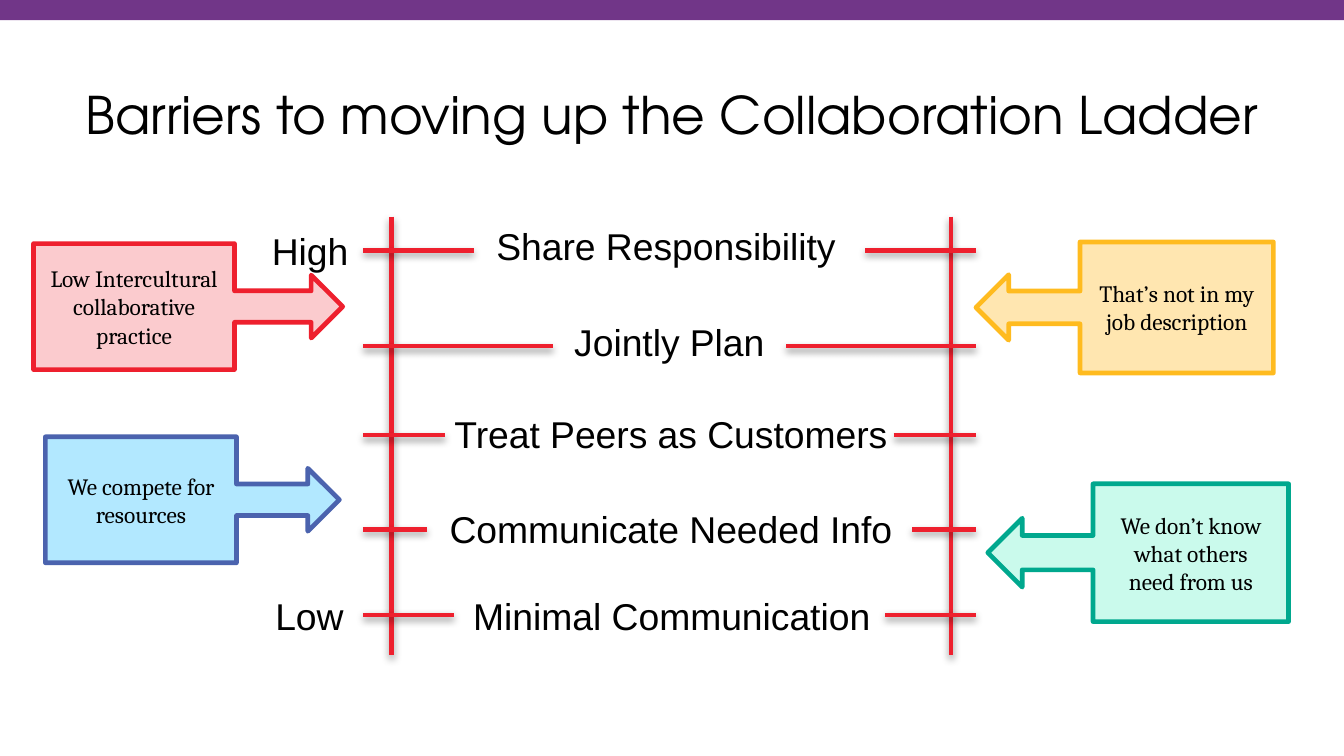
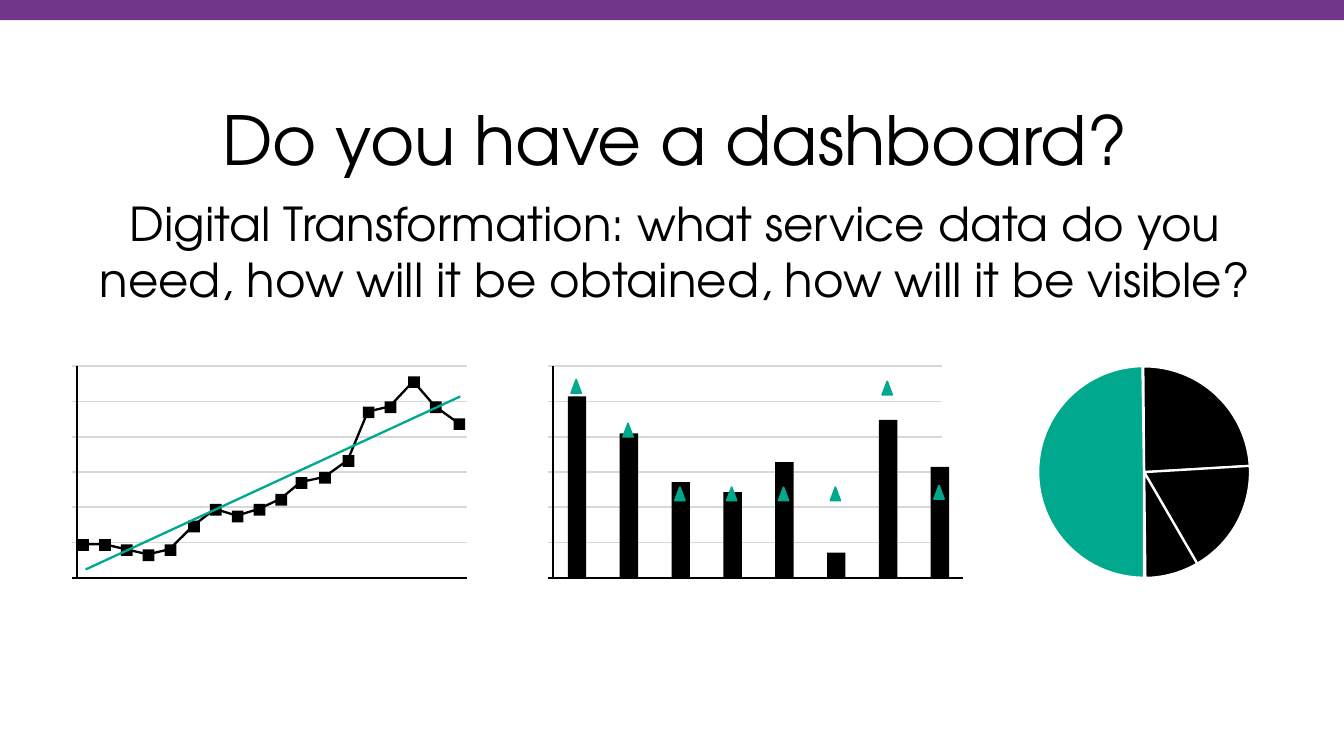
"""Build two slides: a collaboration ladder and a dashboard overview."""
from dataclasses import dataclass

from lxml import etree
from pptx import Presentation
from pptx.dml.color import RGBColor
from pptx.enum.shapes import MSO_CONNECTOR, MSO_SHAPE
from pptx.enum.text import MSO_ANCHOR, MSO_AUTO_SIZE, PP_ALIGN
from pptx.oxml.ns import qn
from pptx.util import Inches, Pt

STRAIGHT = MSO_CONNECTOR.STRAIGHT
RECTANGLE, TRIANGLE, PIE = MSO_SHAPE.RECTANGLE, MSO_SHAPE.ISOSCELES_TRIANGLE, MSO_SHAPE.PIE
LEFT_CALLOUT, RIGHT_CALLOUT = MSO_SHAPE.LEFT_ARROW_CALLOUT, MSO_SHAPE.RIGHT_ARROW_CALLOUT
TOP, MIDDLE = MSO_ANCHOR.TOP, MSO_ANCHOR.MIDDLE
LEFT, CENTER = PP_ALIGN.LEFT, PP_ALIGN.CENTER
NO_FIT = MSO_AUTO_SIZE.NONE


@dataclass(frozen=True)
class Theme:
    """Colours, fonts and sizes shared by the slides."""

    ink: str = "000000"
    white: str = "FFFFFF"
    band: str = "713688"
    red: str = "EE202E"
    pink: str = "F8A4A9"
    amber: str = "FFBB1F"
    sand: str = "FFD579"
    indigo: str = "4B63AE"
    sky: str = "76D6FF"
    green: str = "00A88E"
    mint: str = "CAFAEC"
    grid: str = "D8D8D8"
    heading_font: str = "TeX Gyre Adventor"
    label_font: str = "Arial"
    callout_font: str = "Cambria"
    ladder_title: float = 22.2
    dashboard_title: float = 29
    subtitle: float = 20
    label: float = 16
    callout: float = 10
    heavy: float = 2
    medium: float = 1
    thin: float = 0.75


THEME = Theme()
HEADING_MARGINS = (0.08, 0.04)
WIDE_MARGINS = (0.1, 0.05)

RUNGS = [
    ("Share Responsibility", 1.49, 2.82, 5.15, (2.86, 1.29, 2.21, 0.35)),
    ("Jointly Plan", 2.06, 3.29, 4.68, (3.33, 1.86, 1.31, 0.35)),
    ("Treat Peers as Customers", 2.59, 2.65, 5.32, (2.61, 2.41, 2.77, 0.35)),
    ("Communicate Needed Info", 3.15, 2.54, 5.43, (2.58, 2.97, 2.83, 0.35)),
    ("Minimal Communication", 3.66, 2.7, 5.27, (2.72, 3.49, 2.56, 0.35)),
]
LEVELS = [("High", (1.52, 1.31, 0.66, 0.37)), ("Low", (1.54, 3.48, 0.61, 0.37))]
BARRIERS = [
    ("We don’t know what others need from us", LEFT_CALLOUT,
     (5.88, 2.88, 1.79, 0.82), THEME.mint, THEME.green, 100),
    ("That’s not in my job description", LEFT_CALLOUT,
     (5.81, 1.44, 1.77, 0.78), THEME.sand, THEME.amber, 59),
    ("We compete for resources", RIGHT_CALLOUT,
     (0.27, 2.6, 1.75, 0.75), THEME.sky, THEME.indigo, 56),
    ("Low Intercultural collaborative practice", RIGHT_CALLOUT,
     (0.2, 1.45, 1.84, 0.75), THEME.pink, THEME.red, 56),
]
GRID_TOP, GRID_STEP, GRID_COUNT, BASELINE = 2.18, 0.21, 6, 3.44
TREND_POINTS = [
    (0.49, 3.24), (0.62, 3.24), (0.75, 3.27), (0.88, 3.3), (1.01, 3.27), (1.15, 3.13),
    (1.28, 3.03), (1.41, 3.07), (1.54, 3.03), (1.67, 2.97), (1.79, 2.87), (1.93, 2.84),
    (2.07, 2.74), (2.19, 2.45), (2.32, 2.42), (2.46, 2.27), (2.59, 2.42), (2.73, 2.52),
]
BARS = [(2.36, 2.26), (2.58, 2.52), (2.87, 2.9), (2.93, 2.9),
        (2.75, 2.9), (3.29, 2.9), (2.5, 2.27), (2.78, 2.89)]
SLICES = [(89.52, 176.62, 180, THEME.ink), (176.57, 239.95, 180, THEME.ink),
          (239.88, 269.31, 180, THEME.ink), (89.92, 269.18, 0, THEME.green)]


def inches(values):
    """Convert a sequence of numbers to lengths."""
    return [Inches(value) for value in values]


def apply_format(target, values):
    """Set each named attribute on the target."""
    for name, value in values.items():
        setattr(target, name, value)


def set_line(line, color, width):
    """Give an outline its colour and width."""
    line.color.rgb = RGBColor.from_string(color)
    line.width = Pt(width)


def write(shape, wording, font, size, align=CENTER, anchor=MIDDLE,
          margins=HEADING_MARGINS, wrap=True):
    """Put one formatted paragraph into a shape."""
    side, edge = inches(margins)
    frame = shape.text_frame
    apply_format(frame, {
        "auto_size": NO_FIT, "word_wrap": wrap, "vertical_anchor": anchor,
        "margin_left": side, "margin_right": side,
        "margin_top": edge, "margin_bottom": edge,
    })
    paragraph = frame.paragraphs[0]
    paragraph.alignment = align
    run = paragraph.add_run()
    run.text = wording
    apply_format(run.font, {"name": font, "size": Pt(size)})
    run.font.color.rgb = RGBColor.from_string(THEME.ink)


def add_text(slide, box, *args, **options):
    """Add a text box holding one paragraph."""
    write(slide.shapes.add_textbox(*inches(box)), *args, **options)


def add_block(slide, kind, box, fill, outline=None, width=THEME.medium, opacity=100):
    """Add a preset shape with a flat fill."""
    block = slide.shapes.add_shape(kind, *inches(box))
    block.shadow.inherit = False
    block.fill.solid()
    block.fill.fore_color.rgb = RGBColor.from_string(fill)
    if opacity < 100:
        color = block._element.spPr.find(qn("a:solidFill"))[0]
        etree.SubElement(color, qn("a:alpha"), val=str(opacity * 1000))
    if outline:
        set_line(block.line, outline, width)
    else:
        block.line.fill.background()
    return block


def add_line(slide, start, end, color, width, shadow=False):
    """Add a straight line, with a soft shadow on request."""
    line = slide.shapes.add_connector(STRAIGHT, *inches(start + end))
    set_line(line.line, color, width)
    effects = etree.SubElement(line._element.spPr, qn("a:effectLst"))
    if shadow:
        outer = etree.SubElement(effects, qn("a:outerShdw"), blurRad="40000",
                                 dist="20000", dir="5400000", rotWithShape="0")
        color_node = etree.SubElement(outer, qn("a:srgbClr"), val=THEME.ink)
        etree.SubElement(color_node, qn("a:alpha"), val="38000")


def add_titled_slide(deck, wording, box, size):
    """Add a slide with its title and the top band."""
    slide = deck.slides.add_slide(deck.slide_layouts[5])
    title = slide.shapes.title
    apply_format(title, dict(zip(("left", "top", "width", "height"), inches(box))))
    write(title, wording, THEME.heading_font, size)
    add_block(slide, RECTANGLE, (0, 0, 8, 0.12), THEME.band)
    return slide


def add_ladder(slide):
    """Draw the rails, the split rungs and their labels."""
    segments = [((x, 1.29), (x, 3.9)) for x in (2.33, 5.66)]
    for _, y, left_end, right_start, _ in RUNGS:
        segments += [((2.16, y), (left_end, y)), ((right_start, y), (5.81, y))]
    for start, end in segments:
        add_line(slide, start, end, THEME.red, THEME.heavy, shadow=True)
    for wording, *_, box in RUNGS:
        add_text(slide, box, wording, THEME.label_font, THEME.label,
                 anchor=TOP, wrap=False)
    for wording, box in LEVELS:
        add_text(slide, box, wording, THEME.label_font, THEME.label, align=LEFT,
                 anchor=TOP, margins=WIDE_MARGINS, wrap=False)


def add_barrier(slide, wording, kind, box, fill, outline, opacity):
    """Add an arrow callout that names a barrier."""
    callout = add_block(slide, kind, box, fill, outline, THEME.heavy, opacity)
    for index, value in enumerate((0.25, 0.25, 0.25, 0.65)):
        callout.adjustments[index] = value
    write(callout, wording, THEME.callout_font, THEME.callout, margins=WIDE_MARGINS)


def add_axes(slide, left, grid_right, axis_right):
    """Draw the grid lines and both axes of a small plot."""
    for step in range(GRID_COUNT):
        y = GRID_TOP + step * GRID_STEP
        add_line(slide, (left, y), (grid_right, y), THEME.grid, THEME.thin)
    axis_x = left + 0.03
    add_line(slide, (axis_x, GRID_TOP), (axis_x, BASELINE), THEME.ink, THEME.thin)
    add_line(slide, (left, BASELINE), (axis_right, BASELINE), THEME.ink, THEME.thin)


def add_trend_plot(slide):
    """Draw the marked line and its trend."""
    add_axes(slide, 0.43, 2.78, 2.78)
    points = [inches(point) for point in TREND_POINTS]
    builder = slide.shapes.build_freeform(*points[0])
    builder.add_line_segments(points[1:], close=False)
    curve = builder.convert_to_shape()
    curve.shadow.inherit = False
    curve.fill.background()
    set_line(curve.line, THEME.ink, THEME.medium)
    for x, y in TREND_POINTS:
        add_block(slide, RECTANGLE, (x - 0.03, y - 0.03, 0.07, 0.07), THEME.ink)
    add_line(slide, (0.51, 3.39), (2.74, 2.36), THEME.green, THEME.medium)


def add_bar_plot(slide):
    """Draw the bars with a target marker on each."""
    add_axes(slide, 3.26, 5.61, 5.73)
    for index, (bar_top, target_top) in enumerate(BARS):
        x = 3.38 + index * 2.16 / (len(BARS) - 1)
        add_block(slide, RECTANGLE, (x, bar_top, 0.11, BASELINE - bar_top), THEME.ink)
        add_block(slide, TRIANGLE, (x + 0.02, target_top, 0.06, 0.08),
                  THEME.green, THEME.green, THEME.thin)


def add_pie_plot(slide):
    """Draw the pie from slices given in degrees."""
    for start, end, rotation, fill in SLICES:
        piece = add_block(slide, PIE, (6.18, 2.18, 1.26, 1.26), fill, THEME.white)
        piece.rotation = rotation
        for index, degrees in enumerate((start, end)):
            piece.adjustments[index] = degrees * 0.6


def main():
    """Build and save the deck."""
    deck = Presentation()
    apply_format(deck, {"slide_width": Inches(8), "slide_height": Inches(4.5)})

    ladder = add_titled_slide(deck, "Barriers to moving up the Collaboration Ladder",
                              (0.4, 0.3, 7.2, 0.75), THEME.ladder_title)
    add_ladder(ladder)
    for barrier in BARRIERS:
        add_barrier(ladder, *barrier)

    dashboard = add_titled_slide(deck, "Do you have a dashboard?",
                                 (0.42, 0.45, 7.2, 0.75), THEME.dashboard_title)
    for add_plot in (add_trend_plot, add_pie_plot, add_bar_plot):
        add_plot(dashboard)
    add_text(dashboard, (0.42, 1.12, 7.2, 0.75),
             "Digital Transformation: what service data do you need, "
             "how will it be obtained, how will it be visible?",
             THEME.heading_font, THEME.subtitle)
    deck.save("out.pptx")


if __name__ == "__main__":
    main()
